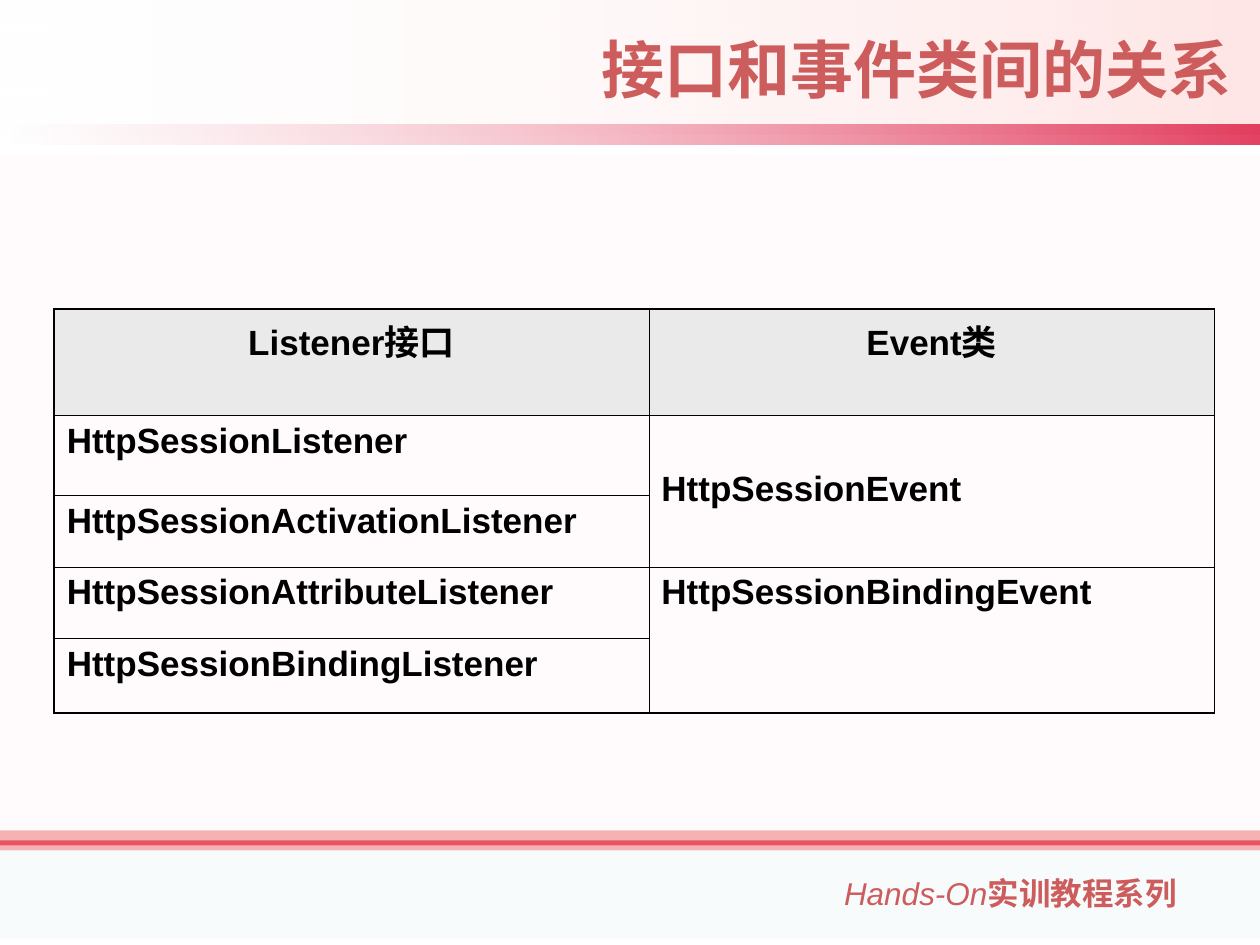
from dataclasses import dataclass
from typing import Optional

import pptx
import pptx.chart.data
import pptx.dml.color
import pptx.enum.shapes
import pptx.enum.text
import pptx.oxml
import pptx.oxml.ns
import pptx.util
from lxml import etree

Color = pptx.dml.color.RGBColor
Align = pptx.enum.text.PP_ALIGN
Anchor = pptx.enum.text.MSO_ANCHOR
qn = pptx.oxml.ns.qn

WIDE, HIGH = pptx.util.Inches(10), pptx.util.Inches(7.5)
WHITE = Color(0xFF, 0xFF, 0xFF)
BLACK = Color(0, 0, 0)
CRIMSON = Color(0xDC, 0x14, 0x3C)
CORAL = Color(0xF0, 0x80, 0x80)
BLUSH = Color(0xFF, 0xF0, 0xF5)
AQUA = Color(0xBB, 0xE0, 0xE3)
PINK = Color(0xFF, 0xCC, 0xCC)
ROSE = Color(0xCD, 0x5C, 0x5C)
GRAY = Color(0xEA, 0xEA, 0xEA)
FONT = "Arial"


@dataclass
class Tint:
    color: Color
    alpha: int = 100


@dataclass
class Band:
    top: float
    high: float
    tint: Tint
    fade: Optional[Tint] = None


@dataclass
class Part:
    text: str
    bold: bool = True
    slant: bool = False


@dataclass
class Item:
    row: int
    col: int
    text: str
    rows: int = 1
    inset: float = 0.05


BANDS = [
    Band(6.67, 0.04, Tint(CRIMSON)),
    Band(6.59, 0.16, Tint(CORAL, 60)),
    Band(1.23, 5.35, Tint(BLUSH, 30)),
    Band(6.74, 0.71, Tint(AQUA, 10)),
    Band(0, 1.07, Tint(PINK, 50), Tint(WHITE, 10)),
    Band(0.99, 0.16, Tint(CRIMSON, 80), Tint(WHITE, 40)),
]
COLS = [4.72, 4.49]
ROWS = [0.85, 0.63, 0.57, 0.57, 0.59]
ITEMS = [
    Item(0, 0, "Listener接口"),
    Item(0, 1, "Event类"),
    Item(1, 0, "HttpSessionListener"),
    Item(2, 0, "HttpSessionActivationListener"),
    Item(3, 0, "HttpSessionAttributeListener"),
    Item(4, 0, "HttpSessionBindingListener"),
    Item(1, 1, "HttpSessionEvent", 2, 0.43),
    Item(3, 1, "HttpSessionBindingEvent", 2),
]


def style(run, size: float, color: Color, bold: bool = True, slant: bool = False) -> None:
    font = run.font
    font.name, font.size = FONT, pptx.util.Pt(size)
    font.bold, font.italic = bold, slant
    font.color.rgb = color


def draw_band(slide, band: Band) -> None:
    shape = slide.shapes.add_shape(
        pptx.enum.shapes.MSO_SHAPE.RECTANGLE,
        0, pptx.util.Inches(band.top), WIDE, pptx.util.Inches(band.high))
    shape.shadow.inherit = False
    shape.line.fill.background()
    tints = [band.tint]
    if band.fade:
        tints.append(band.fade)
        shape.fill.gradient()
        shape.fill.gradient_angle = 180
        for stop, tint in zip(shape.fill.gradient_stops, tints):
            stop.color.rgb = tint.color
    else:
        shape.fill.solid()
        shape.fill.fore_color.rgb = band.tint.color
    fill = shape.fill._xPr
    for node, tint in zip(fill.iter(qn("a:srgbClr")), tints):
        if tint.alpha < 100:
            etree.SubElement(node, qn("a:alpha"), val=str(tint.alpha * 1000))


def draw_text(slide, left: float, top: float, wide: float, high: float,
              parts: list[Part], size: float, align, wrap: bool) -> None:
    box = slide.shapes.add_textbox(*map(pptx.util.Inches, (left, top, wide, high)))
    frame = box.text_frame
    frame.word_wrap = wrap
    frame.vertical_anchor = Anchor.MIDDLE if wrap else Anchor.TOP
    para = frame.paragraphs[0]
    para.alignment = align
    for part in parts:
        run = para.add_run()
        run.text = part.text
        style(run, size, ROSE, part.bold, part.slant)


def draw_edge(cell, side: str, width: float) -> None:
    props = cell._tc.get_or_add_tcPr()
    line = etree.SubElement(props, qn(f"a:ln{side}"), w=str(pptx.util.Pt(width)))
    fill = etree.SubElement(line, qn("a:solidFill"))
    etree.SubElement(fill, qn("a:srgbClr"), val=str(BLACK))


def draw_item(table, item: Item) -> None:
    cell = table.cell(item.row, item.col)
    last = item.row + item.rows - 1
    if item.rows > 1:
        cell.merge(table.cell(last, item.col))
    cell.margin_top = pptx.util.Inches(item.inset)
    cell.text_frame.text = item.text
    para = cell.text_frame.paragraphs[0]
    para.space_before = pptx.util.Pt(5)
    para.alignment = Align.LEFT if item.row else Align.CENTER
    style(para.runs[0], 20, BLACK)
    for row in range(item.row, last + 1):
        spot = table.cell(row, item.col)
        outer = {"L": item.col == 0, "R": item.col == len(COLS) - 1,
                 "T": item.row == 0, "B": last == len(ROWS) - 1}
        for side, edge in outer.items():
            if side != "T" or row == item.row:
                draw_edge(spot, side, 1.08 if edge else 0.45)
        if item.row:
            spot.fill.background()
        else:
            spot.fill.solid()
            spot.fill.fore_color.rgb = GRAY


def draw_table(slide) -> None:
    area = map(pptx.util.Inches, (0.43, 2.45, sum(COLS), sum(ROWS)))
    table = slide.shapes.add_table(len(ROWS), len(COLS), *area).table
    table.first_row = table.horz_banding = False
    for col, wide in zip(table.columns, COLS):
        col.width = pptx.util.Inches(wide)
    for row, high in zip(table.rows, ROWS):
        row.height = pptx.util.Inches(high)
    for item in ITEMS:
        draw_item(table, item)


def main() -> None:
    deck = pptx.Presentation()
    deck.slide_width, deck.slide_height = WIDE, HIGH
    slide = deck.slides.add_slide(deck.slide_layouts[6])
    slide.background.fill.solid()
    slide.background.fill.fore_color.rgb = WHITE
    for band in BANDS:
        draw_band(slide, band)
    draw_text(slide, 6.6, 6.89, 2.99, 0.4,
              [Part("Hands-On", False, True), Part("实训教程系列")],
              18, Align.LEFT, False)
    draw_text(slide, 2.9, 0.19, 6.97, 0.71,
              [Part("接口和事件类间的关系")], 36, Align.RIGHT, True)
    draw_table(slide)
    deck.save("out.pptx")


if __name__ == "__main__":
    main()
